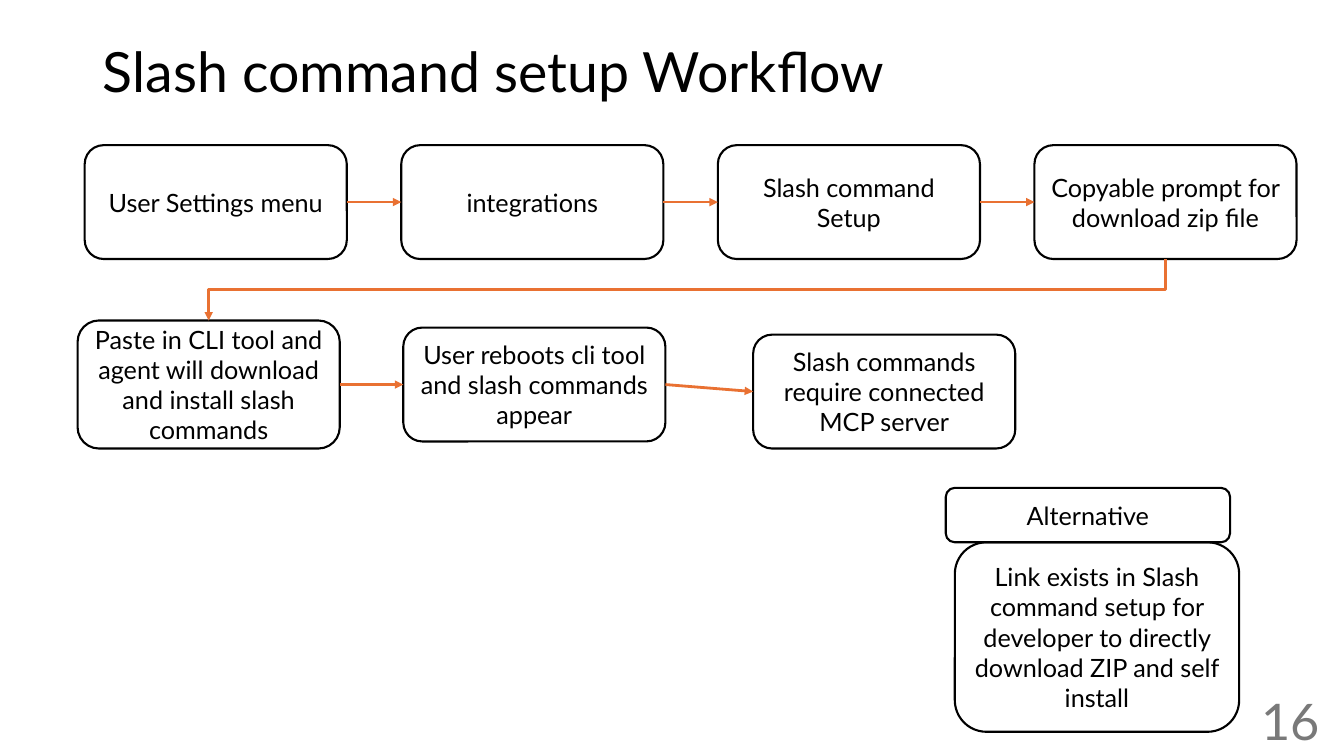
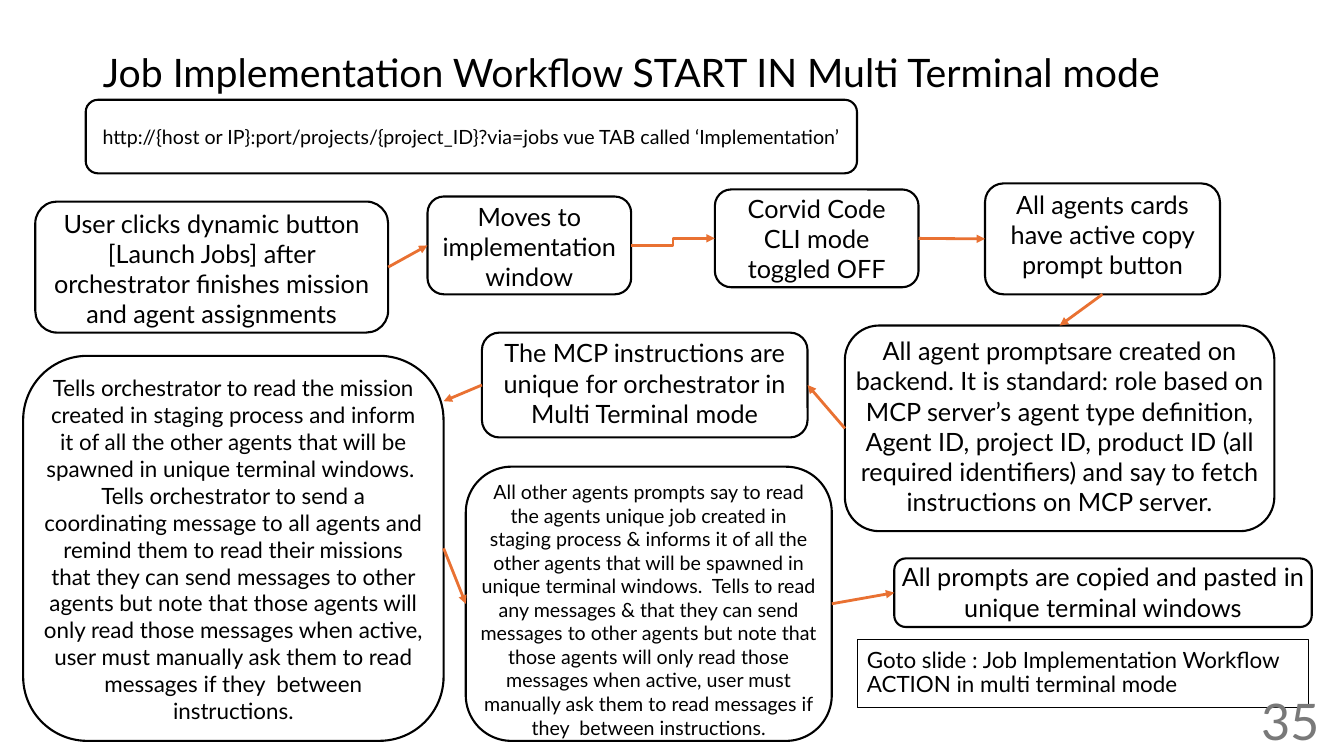
from pptx import Presentation
from pptx.dml.color import RGBColor
from pptx.enum.shapes import MSO_CONNECTOR as LINK, MSO_SHAPE as SHAPE
from pptx.enum.text import MSO_ANCHOR as ANCHOR, PP_ALIGN as ALIGN
from pptx.oxml.ns import qn
from pptx.util import Pt
from lxml import etree

PX = 9144  # 100 px to the inch
FONT = "Lato"
BLACK, WHITE, ORANGE, GRAY = "000000", "FFFFFF", "E97132", "797979"
TOP, LEFT, BOTTOM, RIGHT = range(4)
TITLE_BOX = (92, 40, 1150, 68)
NUMBER_BOX = (1019, 695, 300, 40)

# Box styles: what differs from a centred, padded, rounded box at 18 pt
PLAIN = {}
TIGHT = {"anchor": ANCHOR.TOP, "inset": 0}
ADDRESS = {"inset": 0, "wrap": False, "size": 14}
NOTE = {"shape": SHAPE.RECTANGLE, "fill": None, "line": 0.75, "size": 16,
        "align": ALIGN.LEFT, "spacing": 0.9}

# First row of the setup workflow: four equal boxes at one pitch
SETUP_STEPS = [
    ("settings", "User Settings menu"),
    ("integrations", "integrations"),
    ("setup", "Slash command Setup"),
    ("prompt", "Copyable prompt for download zip file"),
]
SETUP_ROW = {key: (text, (84 + 314 * i, 144, 260, 113), PLAIN)
             for i, (key, text) in enumerate(SETUP_STEPS)}

# Boxes: key -> (text, (left, top, width, height), style)
# Arrows: (from key, side, to key, side), or a point as the target
SLIDES = [
    {
        "title": "Slash command setup Workflow", "title_size": 39.6, "number": "16",
        "boxes": SETUP_ROW | {
            "paste": ("Paste in CLI tool and agent will download and install slash commands",
                      (77, 318, 260, 127), PLAIN),
            "reboot": ("User reboots cli tool and slash commands appear",
                       (400, 325, 260, 113), PLAIN),
            "server": ("Slash commands require connected MCP server",
                       (747, 332, 260, 113), PLAIN),
            "link": ("Link exists in Slash command setup for developer to directly "
                     "download ZIP and self install", (947, 538, 282, 188), PLAIN),
            "alternative": ("Alternative", (938, 484, 282, 54), PLAIN),
        },
        "arrows": [
            ("settings", RIGHT, "integrations", LEFT),
            ("integrations", RIGHT, "setup", LEFT),
            ("setup", RIGHT, "prompt", LEFT),
            ("paste", RIGHT, "reboot", LEFT),
            ("reboot", RIGHT, "server", LEFT),
        ],
        "elbows": [("prompt", BOTTOM, "paste", TOP)],
    },
    {
        "title": "Job Implementation Workflow START IN Multi Terminal mode",
        "title_size": 28, "number": "35",
        "boxes": {
            "launch": ("User clicks dynamic button [Launch Jobs] after orchestrator "
                       "finishes mission and agent assignments", (35, 200, 350, 130), TIGHT),
            "window": ("Moves to implementation window", (424, 195, 202, 97), TIGHT),
            "toggle": ("Corvid Code CLI mode toggled OFF", (709, 188, 202, 97), PLAIN),
            "address": ("http://{host or IP}:port/projects/{project_ID}?via=jobs vue TAB "
                        "called ‘Implementation’", (85, 99, 765, 73), ADDRESS),
            "backend": ("All agent promptsare created on backend. It is standard: role "
                        "based on MCP server’s agent type definition, Agent ID, project "
                        "ID, product ID (all required identifiers) and say to fetch "
                        "instructions on MCP server.", (838, 323, 426, 204), TIGHT),
            "instructions": ("The MCP instructions are unique for orchestrator in Multi "
                             "Terminal mode", (478, 330, 323, 104), TIGHT),
            "orchestrator": ("Tells orchestrator to read the mission created in staging "
                             "process and inform it of all the other agents that will be "
                             "spawned in unique terminal windows.  Tells orchestrator to "
                             "send a coordinating message to all agents and remind them to "
                             "read their missions that they can send messages to other "
                             "agents but note that those agents will only read those "
                             "messages when active, user must manually ask them to read "
                             "messages if they  between instructions.",
                             (23, 353, 417, 382), TIGHT | {"size": 16}),
            "paste": ("All prompts are copied and pasted in unique terminal windows",
                      (887, 554, 414, 68), TIGHT),
            "cards": ("All agents cards have active copy prompt button",
                      (977, 182, 233, 110), TIGHT),
            "next": ("Goto slide : Job Implementation Workflow ACTION in multi terminal "
                     "mode", (850, 634, 448, 68), NOTE),
            "agents": ("All other agents prompts say to read the agents unique job created "
                       "in staging process & informs it of all the other agents that will "
                       "be spawned in unique terminal windows.  Tells to read any messages "
                       "& that they can send messages to other agents but note that those "
                       "agents will only read those messages when active, user must "
                       "manually ask them to read messages if they  between instructions.",
                       (462, 463, 363, 272), TIGHT | {"size": 14}),
        },
        "arrows": [
            ("launch", RIGHT, "window", LEFT),
            ("toggle", RIGHT, "cards", LEFT),
            ("cards", BOTTOM, "backend", TOP),
            ("backend", LEFT, "instructions", RIGHT),
            ("instructions", LEFT, (440, 398), None),
            ("orchestrator", RIGHT, "agents", LEFT),
            ("agents", RIGHT, "paste", LEFT),
        ],
        "elbows": [("window", RIGHT, "toggle", LEFT)],
    },
]


def color(value):
    return RGBColor.from_string(value)


def px(values):
    return [value * PX for value in values]


def write(frame, text, size, align, ink=BLACK, anchor=ANCHOR.MIDDLE, spacing=None):
    frame.vertical_anchor = anchor
    paragraph = frame.paragraphs[0]
    paragraph.alignment = align
    paragraph.line_spacing = spacing
    run = paragraph.add_run()
    run.text = text
    run.font.name, run.font.size = FONT, Pt(size)
    run.font.color.rgb = color(ink)


def add_box(slide, text, place, style):
    box = slide.shapes.add_shape(style.get("shape", SHAPE.ROUNDED_RECTANGLE), *px(place))
    box.shadow.inherit = False
    fill = style.get("fill", WHITE)
    if fill:
        box.fill.solid()
        box.fill.fore_color.rgb = color(fill)
    else:
        box.fill.background()
    box.line.color.rgb = color(BLACK)
    box.line.width = Pt(style.get("line", 1.5))
    frame = box.text_frame
    frame.word_wrap = style.get("wrap", True)
    if "inset" in style:
        inset = style["inset"] * PX
        frame.margin_left = frame.margin_right = inset
        frame.margin_top = frame.margin_bottom = inset
    write(frame, text, style.get("size", 18), style.get("align", ALIGN.CENTER),
          anchor=style.get("anchor", ANCHOR.MIDDLE), spacing=style.get("spacing"))
    return box


def add_arrow(slide, boxes, route, kind):
    source, source_side, target, target_side = route
    end = (0, 0) if target_side is not None else px(target)
    arrow = slide.shapes.add_connector(kind, 0, 0, *end)
    arrow.begin_connect(boxes[source], source_side)
    if target_side is not None:
        arrow.end_connect(boxes[target], target_side)
    arrow.line.color.rgb = color(ORANGE)
    arrow.line.width = Pt(2)
    etree.SubElement(arrow.line._get_or_add_ln(), qn("a:tailEnd"), type="triangle")
    etree.SubElement(arrow.element.spPr, qn("a:effectLst"))
    if kind == LINK.ELBOW and source_side == BOTTOM:
        turn_down(arrow)


def turn_down(arrow):
    """Turn an elbow by 90 degrees, so that it leaves downwards and ends to the left."""
    width, height = arrow.width, arrow.height
    middle_x, middle_y = arrow.left + width // 2, arrow.top + height // 2
    arrow.left, arrow.top = middle_x - height // 2, middle_y - width // 2
    arrow.width, arrow.height = height, width
    frame = arrow.element.spPr.find(qn("a:xfrm"))
    frame.set("rot", str(90 * 60000))
    frame.set("flipH", "0")


def build_slide(deck, content):
    slide = deck.slides.add_slide(deck.slide_layouts[5])
    # Title
    title = slide.shapes.title
    title.left, title.top, title.width, title.height = px(TITLE_BOX)
    write(title.text_frame, content["title"], content["title_size"], ALIGN.LEFT, spacing=0.9)
    # Workflow
    boxes = {key: add_box(slide, *box) for key, box in content["boxes"].items()}
    for kind, routes in ((LINK.STRAIGHT, content["arrows"]), (LINK.ELBOW, content["elbows"])):
        for route in routes:
            add_arrow(slide, boxes, route, kind)
    # Slide number
    number = slide.shapes.add_textbox(*px(NUMBER_BOX))
    number.text_frame.word_wrap = True
    write(number.text_frame, content["number"], 36, ALIGN.RIGHT, GRAY)


def main():
    deck = Presentation()
    deck.slide_width, deck.slide_height = px((1333, 750))
    for content in SLIDES:
        build_slide(deck, content)
    deck.save("out.pptx")


if __name__ == "__main__":
    main()
